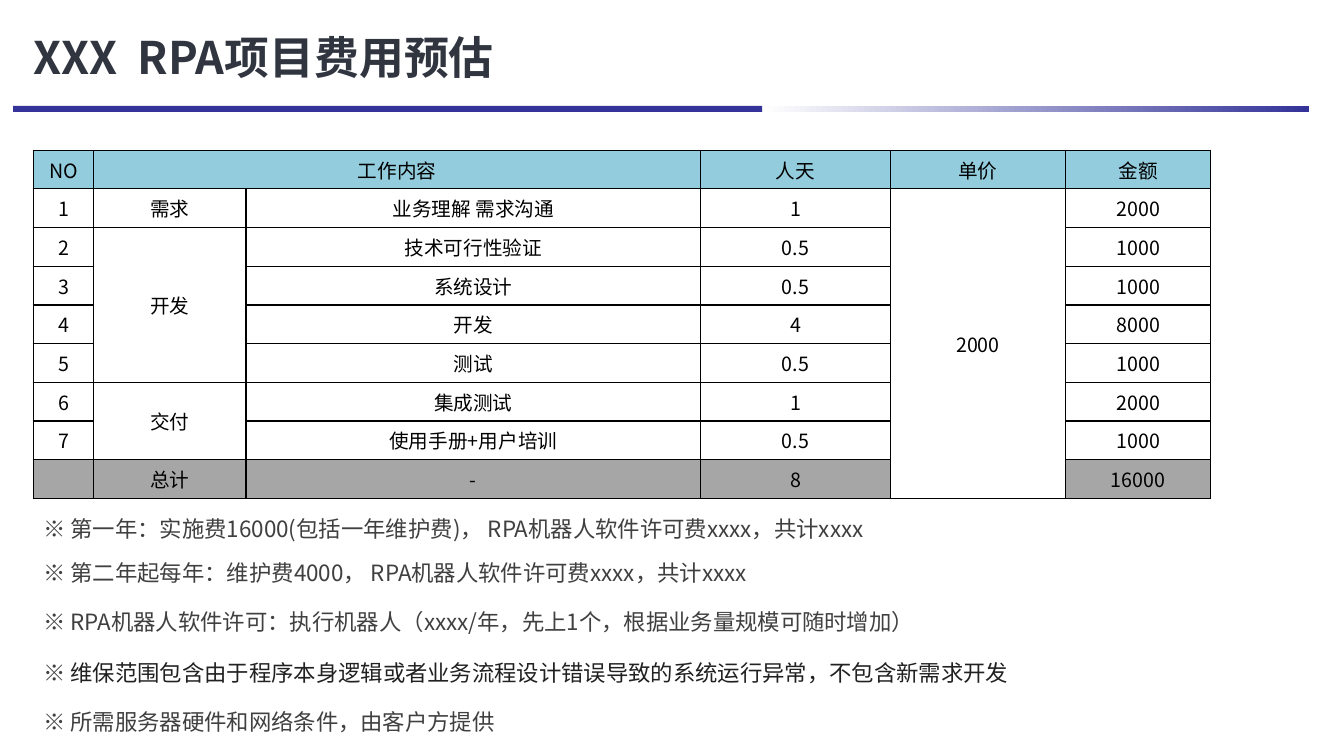
"""Build the RPA project cost estimate slide."""
from lxml import etree
from pptx import Presentation
from pptx.dml.color import RGBColor
from pptx.enum.shapes import MSO_SHAPE
from pptx.enum.text import MSO_ANCHOR, MSO_AUTO_SIZE, PP_ALIGN
from pptx.oxml.ns import qn
from pptx.util import Inches, Pt

LEFT, CENTER = PP_ALIGN.LEFT, PP_ALIGN.CENTER
MIDDLE = MSO_ANCHOR.MIDDLE
NO_FIT = MSO_AUTO_SIZE.NONE
RECTANGLE = MSO_SHAPE.RECTANGLE

BODY_FONT, TABLE_FONT = "Noto Sans CJK SC", "Noto Sans CJK TC"
NAVY, WHITE, BLACK = "333399", "FFFFFF", "000000"
HEADER_FILL, TOTAL_FILL = "93CDDD", "A6A6A6"
NOTE_COLOR, SCOPE_COLOR = "404040", "212121"

TITLE = "XXX  RPA项目费用预估"
COLUMN_WIDTHS = [0.6, 1.51, 4.51, 1.88, 1.74, 1.44]
ROW_HEIGHT = 0.38
ROWS = [
    ["NO", "工作内容", "", "人天", "单价", "金额"],
    ["1", "需求", "业务理解 需求沟通", "1", "2000", "2000"],
    ["2", "开发", "技术可行性验证", "0.5", "", "1000"],
    ["3", "", "系统设计", "0.5", "", "1000"],
    ["4", "", "开发", "4", "", "8000"],
    ["5", "", "测试", "0.5", "", "1000"],
    ["6", "交付", "集成测试", "1", "", "2000"],
    ["7", "", "使用手册+用户培训", "0.5", "", "1000"],
    ["", "总计", "-", "8", "", "16000"],
]
MERGES = [((0, 1), (0, 2)), ((1, 4), (8, 4)), ((2, 1), (5, 1)), ((6, 1), (7, 1))]
PRICE_COLUMN = 4
NOTE_MARK = "※ "
NOTES = [
    (5.03, "第一年：实施费16000(包括一年维护费)， RPA机器人软件许可费xxxx，共计xxxx", NOTE_COLOR),
    (5.47, "第二年起每年：维护费4000， RPA机器人软件许可费xxxx，共计xxxx", NOTE_COLOR),
    (5.96, "RPA机器人软件许可：执行机器人（xxxx/年，先上1个，根据业务量规模可随时增加）", NOTE_COLOR),
    (6.46, "维保范围包含由于程序本身逻辑或者业务流程设计错误导致的系统运行异常，不包含新需求开发", SCOPE_COLOR),
    (6.95, "所需服务器硬件和网络条件，由客户方提供", NOTE_COLOR),
]


def rgb(color):
    return RGBColor.from_string(color)


def style(para, size, name, color, bold=False, align=LEFT):
    para.alignment = align
    font = para.font
    font.size, font.name, font.bold = Pt(size), name, bold
    font.color.rgb = rgb(color)
    defaults = para._p.pPr.find(qn("a:defRPr"))
    etree.SubElement(defaults, qn("a:ea"), typeface=name)


def add_title(page):
    box = page.shapes.title
    box.left, box.top = Inches(0.33), Inches(0.3)
    box.width, box.height = Inches(6), Inches(0.53)
    frame = box.text_frame
    frame.text = TITLE
    frame.auto_size, frame.word_wrap = NO_FIT, False
    frame.vertical_anchor = MIDDLE
    frame.margin_left = frame.margin_right = frame.margin_top = frame.margin_bottom = 0
    style(frame.paragraphs[0], 32, BODY_FONT, "30353F", bold=True)


def add_bar(page, left, width):
    bar = page.shapes.add_shape(
        RECTANGLE, Inches(left), Inches(1.05), Inches(width), Inches(0.06))
    bar.shadow.inherit = False
    bar.line.fill.background()
    return bar.fill


def add_rule(page):
    fade = add_bar(page, 7.56, 5.42)
    fade.gradient()
    fade.gradient_angle = 0
    for stop, color in zip(fade.gradient_stops, (WHITE, NAVY)):
        stop.color.rgb = rgb(color)
    solid = add_bar(page, 0.13, 7.43)
    solid.solid()
    solid.fore_color.rgb = rgb(NAVY)


def add_borders(cell):
    properties = cell._tc.get_or_add_tcPr()
    for side in ("a:lnL", "a:lnR", "a:lnT", "a:lnB"):
        line = etree.SubElement(properties, qn(side), w=str(Pt(0.96)))
        fill = etree.SubElement(line, qn("a:solidFill"))
        etree.SubElement(fill, qn("a:srgbClr"), val=BLACK)


def cell_color(row, column):
    if row == 0:
        return HEADER_FILL
    if row == len(ROWS) - 1 and column != PRICE_COLUMN:
        return TOTAL_FILL
    return WHITE


def add_cost_table(page):
    table = page.shapes.add_table(
        len(ROWS), len(COLUMN_WIDTHS), Inches(0.33), Inches(1.49),
        Inches(sum(COLUMN_WIDTHS)), Inches(ROW_HEIGHT * len(ROWS))).table
    table.first_row = table.horz_banding = False
    for column, width in zip(table.columns, COLUMN_WIDTHS):
        column.width = Inches(width)
    for row, texts in enumerate(ROWS):
        table.rows[row].height = Inches(ROW_HEIGHT)
        for column, text in enumerate(texts):
            cell = table.cell(row, column)
            cell.text = text
            cell.vertical_anchor = MIDDLE
            para = cell.text_frame.paragraphs[0]
            style(para, 14, TABLE_FONT, BLACK, align=CENTER)
            if not text:
                etree.SubElement(para._p, qn("a:endParaRPr"), sz="1400")
            add_borders(cell)
            cell.fill.solid()
            cell.fill.fore_color.rgb = rgb(cell_color(row, column))
    for first, last in MERGES:
        table.cell(*first).merge(table.cell(*last))


def add_note(page, top, text, color):
    box = page.shapes.add_textbox(Inches(0.33), Inches(top), Inches(12.49), Inches(0.42))
    frame = box.text_frame
    frame.word_wrap = True
    para = frame.paragraphs[0]
    para.line_spacing = 1.1
    style(para, 16, BODY_FONT, NOTE_COLOR)
    para.add_run().text = NOTE_MARK
    span = para.add_run()
    span.text = text
    if color != NOTE_COLOR:
        span.font.color.rgb = rgb(color)


def main():
    deck = Presentation()
    deck.slide_width, deck.slide_height = Inches(13.33), Inches(7.5)
    page = deck.slides.add_slide(deck.slide_layouts[5])
    add_rule(page)
    add_title(page)
    add_cost_table(page)
    for note in NOTES:
        add_note(page, *note)
    deck.save("out.pptx")


if __name__ == "__main__":
    main()
